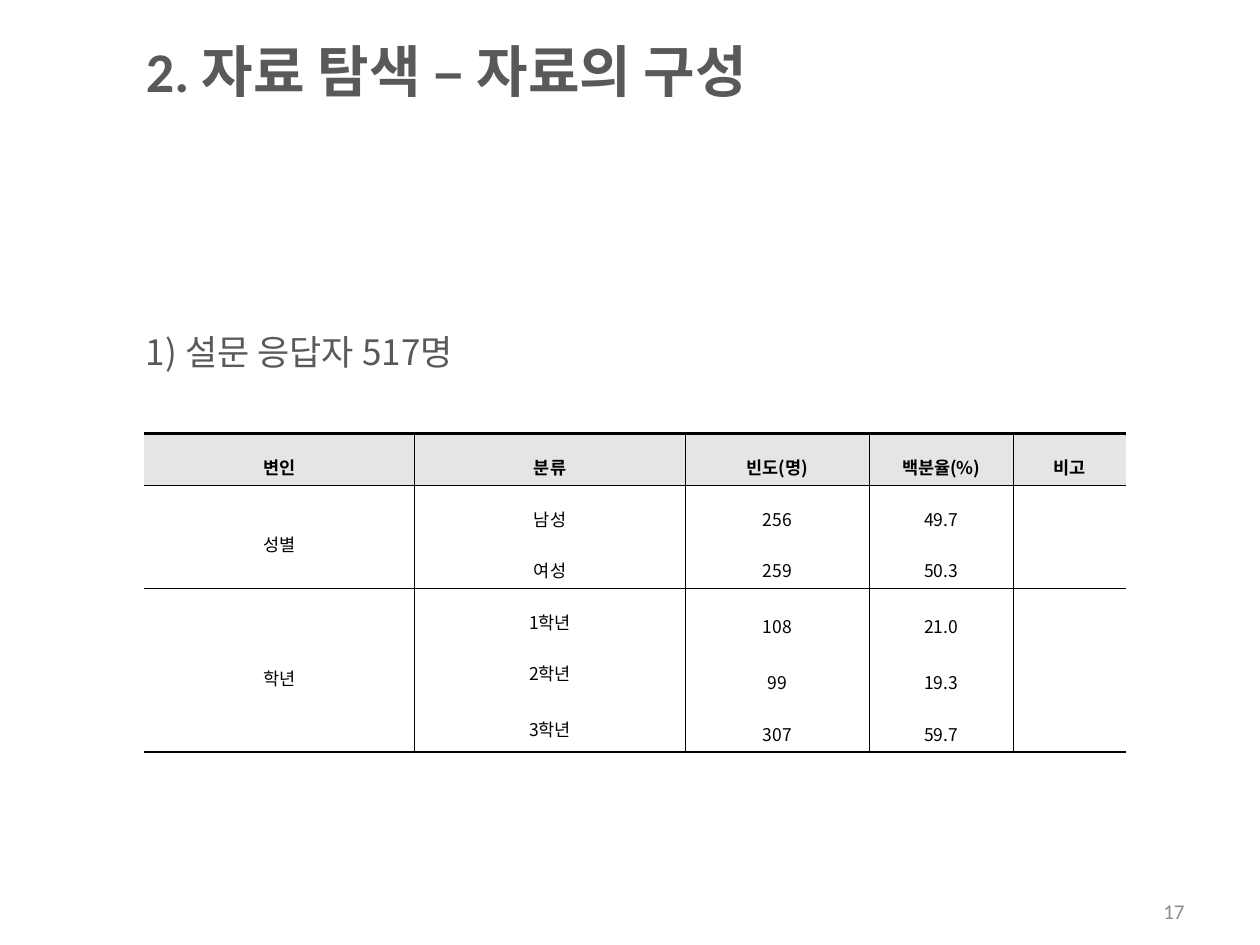
from itertools import groupby

from lxml import etree
from pptx import Presentation
from pptx.dml.color import RGBColor
from pptx.enum.text import MSO_ANCHOR, PP_ALIGN
from pptx.oxml.ns import qn
from pptx.util import Inches, Pt

LEFT, CENTER, RIGHT = PP_ALIGN.LEFT, PP_ALIGN.CENTER, PP_ALIGN.RIGHT
TOP, MIDDLE = MSO_ANCHOR.TOP, MSO_ANCHOR.MIDDLE
LATIN, KOREAN = "Calibri", "Noto Sans CJK KR"
INK, GRAY, PALE, BLACK = "595959", "8C8C8C", "E5E5E5", "000000"
THICK, THIN = 1.7, 0.28

COLUMN_WIDTHS = [2.15, 2.15, 1.46, 1.14, 0.9]
ROW_HEIGHTS = [0.41, 0.41, 0.41, 0.41, 0.07, 0.34, 0.07, 0.41]
RULES_BELOW = {0: THIN, 2: THIN, 7: THICK}
COLUMNS = [
    [("변인", 1), ("성별", 2), ("학년", 5)],
    [("분류", 1), ("남성", 1), ("여성", 1), ("1학년", 1), ("2학년", 2), ("3학년", 2)],
    [("빈도(명)", 1), ("256", 1), ("259", 1), ("108", 2), ("99", 2), ("307", 1)],
    [("백분율(%)", 1), ("49.7", 1), ("50.3", 1), ("21.0", 2), ("19.3", 2), ("59.7", 1)],
    [("비고", 1), ("", 2), ("", 5)],
]


def color(value):
    """Turn a hex string into a colour."""
    return RGBColor.from_string(value)


def style(span, size, font, ink, bold=False):
    """Format one run of text."""
    span.font.size, span.font.name, span.font.bold = Pt(size), font, bold
    span.font.color.rgb = color(ink)


def add_text(page, box, text, size, font, ink, bold=False, align=LEFT, anchor=MIDDLE):
    """Place a line of text in the given box."""
    frame = page.shapes.add_textbox(*map(Inches, box)).text_frame
    frame.word_wrap, frame.vertical_anchor = True, anchor
    frame.text = text
    para = frame.paragraphs[0]
    para.alignment = align
    style(para.runs[0], size, font, ink, bold)
    return para


def add_border(cell, side, width):
    """Draw one cell edge, or hide it when the width is zero."""
    properties = cell._tc.get_or_add_tcPr()
    line = etree.SubElement(properties, qn(f"a:ln{side}"), w=str(int(Pt(width))))
    if width:
        fill = etree.SubElement(line, qn("a:solidFill"))
        etree.SubElement(fill, qn("a:srgbClr"), val=BLACK)
    else:
        etree.SubElement(line, qn("a:noFill"))


def write_cell(cell, text, bold):
    """Write centred text, with Hangul and other characters in their own fonts."""
    para = cell.text_frame.paragraphs[0]
    para.alignment, para.line_spacing = CENTER, 1.6
    for is_hangul, letters in groupby(text, lambda letter: "가" <= letter <= "힣"):
        span = para.add_run()
        span.text = "".join(letters)
        style(span, 10, LATIN if is_hangul else KOREAN, BLACK, bold)


def format_cell(cell, row, column):
    """Set the margins, edges and fill of a cell from its place in the grid."""
    cell.vertical_anchor = MIDDLE
    cell.margin_left = cell.margin_right = Inches(0.07)
    cell.margin_top = cell.margin_bottom = Inches(0.02)
    last = row + cell.span_height - 1 if cell.is_merge_origin else row
    add_border(cell, "L", THIN if column else 0)
    add_border(cell, "R", THIN if column < len(COLUMN_WIDTHS) - 1 else 0)
    add_border(cell, "T", RULES_BELOW.get(row - 1, 0) if row else THICK)
    add_border(cell, "B", RULES_BELOW.get(last, 0))
    if row:
        cell.fill.background()
    else:
        cell.fill.solid()
        cell.fill.fore_color.rgb = color(PALE)


def add_respondent_table(page, left, top):
    """Build the table of respondents by gender and grade."""
    size = sum(COLUMN_WIDTHS), sum(ROW_HEIGHTS)
    table = page.shapes.add_table(
        len(ROW_HEIGHTS), len(COLUMN_WIDTHS), *map(Inches, (left, top, *size))
    ).table
    table.first_row = table.horz_banding = False
    for column, width in zip(table.columns, COLUMN_WIDTHS):
        column.width = Inches(width)
    for row, height in zip(table.rows, ROW_HEIGHTS):
        row.height = Inches(height)
    for column, entries in enumerate(COLUMNS):
        row = 0
        for text, rows in entries:
            cell = table.cell(row, column)
            if rows > 1:
                cell.merge(table.cell(row + rows - 1, column))
            write_cell(cell, text, bold=row == 0)
            row += rows
        for row in range(len(ROW_HEIGHTS)):
            format_cell(table.cell(row, column), row, column)


def build_slide(deck):
    """Compose the title, subtitle, table and page number."""
    page = deck.slides.add_slide(deck.slide_layouts[6])
    add_text(page, (1.06, 0.12, 7.75, 0.87), "2. 자료 탐색 – 자료의 구성", 32, LATIN, INK, bold=True)
    add_respondent_table(page, 1.14, 3.44)
    subtitle = add_text(
        page, (1.06, 2.57, 5.43, 0.51), "1) 설문 응답자 517명", 20, KOREAN, INK, anchor=TOP
    )
    subtitle.space_before = Pt(4)
    add_text(page, (7.17, 7.11, 2.33, 0.24), "17", 12, LATIN, GRAY, align=RIGHT)


def main():
    """Create and save the deck."""
    deck = Presentation()
    deck.slide_width, deck.slide_height = Inches(10), Inches(7.5)
    build_slide(deck)
    deck.save("out.pptx")


if __name__ == "__main__":
    main()
